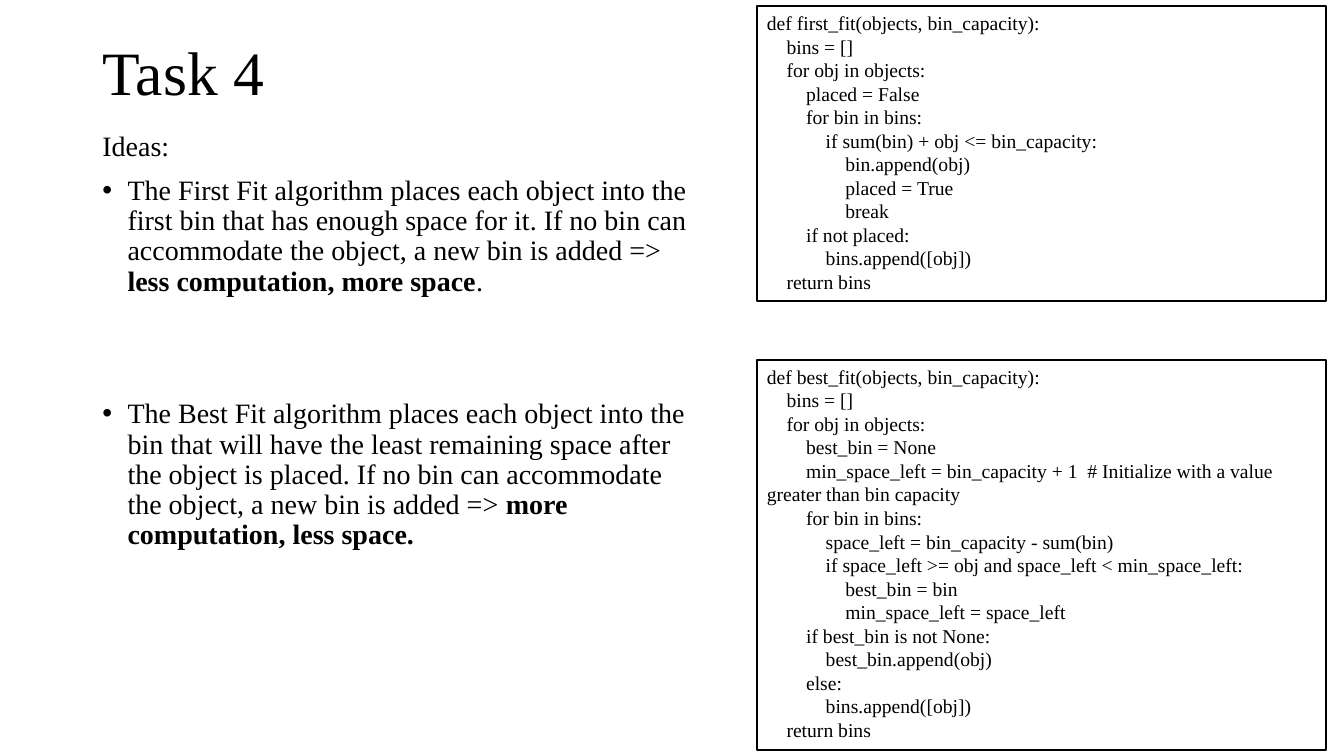
from dataclasses import dataclass

from lxml import etree
from pptx import Presentation
from pptx.dml.color import RGBColor
from pptx.enum import shapes, text
from pptx.oxml import ns
from pptx.util import Pt


@dataclass(frozen=True)
class Theme:
    font: str = "Times New Roman"
    ink: RGBColor = RGBColor(0, 0, 0)
    title: int = 44
    body: int = 20
    code: int = 14
    code_step: int = 14
    bullet_indent: int = 18
    border: float = 1.5


THEME = Theme()

FIRST_FIT = """def first_fit(objects, bin_capacity):
    bins = []
    for obj in objects:
        placed = False
        for bin in bins:
            if sum(bin) + obj <= bin_capacity:
                bin.append(obj)
                placed = True
                break
        if not placed:
            bins.append([obj])
    return bins"""

BEST_FIT = """def best_fit(objects, bin_capacity):
    bins = []
    for obj in objects:
        best_bin = None
        min_space_left = bin_capacity + 1  # Initialize with a value greater than bin capacity
        for bin in bins:
            space_left = bin_capacity - sum(bin)
            if space_left >= obj and space_left < min_space_left:
                best_bin = bin
                min_space_left = space_left
        if best_bin is not None:
            best_bin.append(obj)
        else:
            bins.append([obj])
    return bins"""


def add_text(para, words, *, size, bold=False):
    span = para.add_run()
    span.text = words
    span.font.name = THEME.font
    span.font.size = Pt(size)
    span.font.bold = bold
    span.font.color.rgb = THEME.ink


def next_para(frame):
    first = frame.paragraphs[0]
    return frame.add_paragraph() if first.runs else first


def set_indent(para, left, first_line):
    props = para._p.get_or_add_pPr()
    props.set("marL", str(Pt(left)))
    props.set("indent", str(Pt(first_line)))
    return props


def set_title(page, words):
    title = page.shapes.title
    title.left, title.top, title.width, title.height = Pt(66), Pt(1.5), Pt(828), Pt(104.4)
    frame = title.text_frame
    frame.auto_size = text.MSO_AUTO_SIZE.NONE
    frame.vertical_anchor = text.MSO_ANCHOR.MIDDLE
    para = frame.paragraphs[0]
    para.alignment = text.PP_ALIGN.LEFT
    para.line_spacing = 0.9
    add_text(para, words, size=THEME.title)


def add_idea(frame, *parts, bullet=True, before=10):
    para = next_para(frame)
    para.line_spacing = 0.9
    para.space_before = Pt(before)
    if bullet:
        props = set_indent(para, THEME.bullet_indent, -THEME.bullet_indent)
        etree.SubElement(props, ns.qn("a:buFont"), typeface="Arial")
        etree.SubElement(props, ns.qn("a:buChar"), char="•")
    for words, bold in parts:
        add_text(para, words, size=THEME.body, bold=bold)


def add_ideas(page):
    box = page.shapes.add_textbox(Pt(66), Pt(90.7), Pt(442), Pt(373.7))
    frame = box.text_frame
    frame.word_wrap = True
    add_idea(frame, ("Ideas:", False), bullet=False)
    add_idea(
        frame,
        ("The First Fit algorithm places each object into the first bin that has enough space "
         "for it. If no bin can accommodate the object, a new bin is added => ", False),
        ("less computation, more space", True),
        (".", False),
    )
    add_idea(
        frame,
        ("The Best Fit algorithm places each object into the bin that will have the least "
         "remaining space after the object is placed. If no bin can accommodate the object, "
         "a new bin is added => ", False),
        ("more computation, less space.", True),
        before=73.3,
    )


def add_code(page, code, *, top, height):
    box = page.shapes.add_shape(
        shapes.MSO_SHAPE.RECTANGLE, Pt(540.7), Pt(top), Pt(406.3), Pt(height))
    box.shadow.inherit = False
    box.fill.background()
    box.line.color.rgb = THEME.ink
    box.line.width = Pt(THEME.border)
    frame = box.text_frame
    frame.word_wrap = True
    frame.vertical_anchor = text.MSO_ANCHOR.TOP
    for line in code.splitlines():
        words = line.lstrip()
        level = (len(line) - len(words)) // 4
        para = next_para(frame)
        para.alignment = text.PP_ALIGN.LEFT
        set_indent(para, 0, level * THEME.code_step)
        add_text(para, words, size=THEME.code)


def main():
    deck = Presentation()
    deck.slide_width, deck.slide_height = Pt(960), Pt(540)
    page = deck.slides.add_slide(deck.slide_layouts.get_by_name("Title Only"))
    set_title(page, "Task 4")
    add_ideas(page)
    add_code(page, FIRST_FIT, top=4.3, height=211)
    add_code(page, BEST_FIT, top=257, height=278.6)
    deck.save("out.pptx")


if __name__ == "__main__":
    main()
